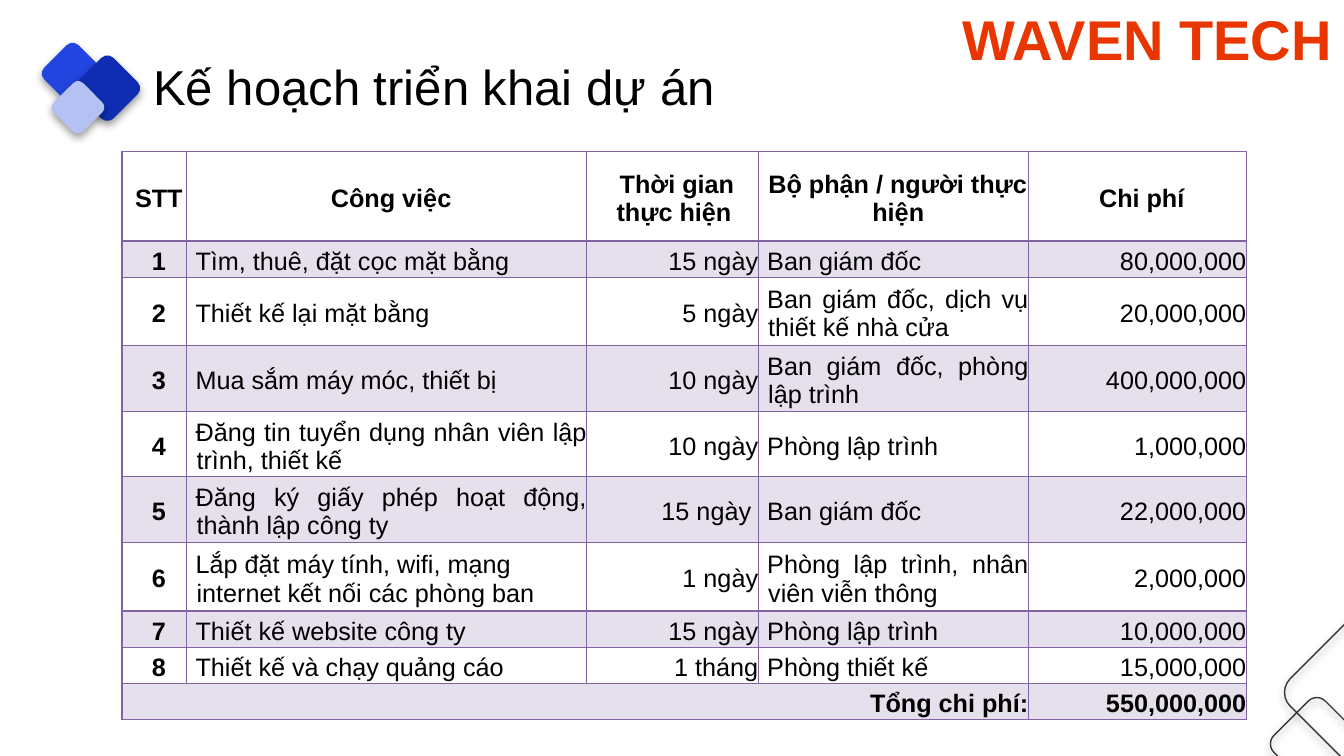
from typing import NamedTuple, Optional

from lxml.etree import SubElement
from pptx import Presentation
from pptx.dml.color import RGBColor
from pptx.enum.shapes import MSO_SHAPE as Preset
from pptx.enum.text import MSO_ANCHOR as Anchor, PP_ALIGN as Align
from pptx.oxml.ns import qn
from pptx.util import Inches, Pt

FONT = "Arial"
PURPLE = "8064A2"


class Tile(NamedTuple):
    left: float
    top: float
    size: float
    fill: Optional[str] = None


class Task(NamedTuple):
    name: str
    duration: str
    people: str
    cost: str
    height: float
    name_align: Align = Align.LEFT
    people_align: Align = Align.LEFT


TILES = [
    Tile(0.48, 0.49, 0.48, "2345DF"),
    Tile(0.81, 0.62, 0.51, "0E2DB2"),
    Tile(0.57, 0.86, 0.41, "B5C1F2"),
    Tile(12.7, 7.02, 0.72),
    Tile(12.9, 6.29, 1.16),
]
COLUMN_WIDTHS = [0.64, 3.97, 1.7, 2.68, 2.16]
HEADER_HEIGHT, SINGLE, DOUBLE, TALL = 0.89, 0.36, 0.65, 0.68
HEADERS = ["STT", "Công việc", "Thời gian thực hiện ", "Bộ phận / người thực hiện", "Chi phí"]
TASKS = [
    Task("Tìm, thuê, đặt cọc mặt bằng", "15 ngày", "Ban giám đốc", "80,000,000", SINGLE),
    Task("Thiết kế lại mặt bằng", "5 ngày", "Ban giám đốc, dịch vụ thiết kế nhà cửa",
         "20,000,000", TALL, people_align=Align.JUSTIFY),
    Task("Mua sắm máy móc, thiết bị", "10 ngày", "Ban giám đốc, phòng lập trình",
         "400,000,000", DOUBLE, people_align=Align.JUSTIFY),
    Task("Đăng tin tuyển dụng nhân viên lập trình, thiết kế", "10 ngày", "Phòng lập trình",
         "1,000,000", DOUBLE, name_align=Align.JUSTIFY),
    Task("Đăng ký giấy phép hoạt động, thành lập công ty", "15 ngày ", "Ban giám đốc",
         "22,000,000", DOUBLE, name_align=Align.JUSTIFY),
    Task("Lắp đặt máy tính, wifi, mạng internet kết nối các phòng ban", "1 ngày",
         "Phòng lập trình, nhân viên viễn thông", "2,000,000", TALL, people_align=Align.JUSTIFY),
    Task("Thiết kế website công ty", "15 ngày", "Phòng lập trình", "10,000,000", SINGLE),
    Task("Thiết kế và chạy quảng cáo", "1 tháng", "Phòng thiết kế", "15,000,000", SINGLE),
]


def color(value: str) -> RGBColor:
    return RGBColor.from_string(value)


def style_paragraph(para, size: float, tone: str, bold: bool, align: Align) -> None:
    para.alignment = align
    para.font.name = FONT
    para.font.size = Pt(size)
    para.font.bold = bold
    para.font.color.rgb = color(tone)


def draw_tile(page, tile: Tile) -> None:
    """Draw a rounded diamond with a soft shadow, outlined when it has no fill."""
    shape = page.shapes.add_shape(Preset.ROUNDED_RECTANGLE, Inches(tile.left), Inches(tile.top),
                                  Inches(tile.size), Inches(tile.size))
    shape.rotation = 45
    if tile.fill:
        shape.fill.solid()
        shape.fill.fore_color.rgb = color(tile.fill)
        shape.line.fill.background()
    else:
        shape.fill.background()
        shape.line.color.rgb = color("393737")
        shape.line.width = Pt(1)
    shape.shadow.inherit = False
    effects = shape._element.spPr.find(qn("a:effectLst"))
    shadow = SubElement(effects, qn("a:outerShdw"), blurRad=str(Pt(6)), dist=str(Pt(3)),
                        dir="5400000", algn="t", rotWithShape="0")
    tint = SubElement(shadow, qn("a:srgbClr"), val="000000")
    SubElement(tint, qn("a:alpha"), val="39000")


def draw_headings(page) -> None:
    title = page.shapes.title
    title.left, title.top = Inches(1.42), Inches(0.51)
    title.width, title.height = Inches(9.62), Inches(0.69)
    title.text_frame.text = "Kế hoạch triển khai dự án"
    title.text_frame.vertical_anchor = Anchor.MIDDLE
    style_paragraph(title.text_frame.paragraphs[0], 35, "000000", False, Align.LEFT)

    company = page.shapes.add_textbox(Inches(9.45), Inches(0), Inches(3.89), Inches(0.77))
    company.text_frame.word_wrap = True
    company.text_frame.text = "WAVEN TECH"
    style_paragraph(company.text_frame.paragraphs[0], 40, "E93601", True, Align.LEFT)


def add_borders(cell, top: float, bottom: float) -> None:
    properties = cell._tc.get_or_add_tcPr()
    for side, width in (("L", 1), ("R", 1), ("T", top), ("B", bottom)):
        line = SubElement(properties, qn(f"a:ln{side}"), w=str(Pt(width)))
        fill = SubElement(line, qn("a:solidFill"))
        SubElement(fill, qn("a:srgbClr"), val=PURPLE)


def format_cell(cell, row: int) -> None:
    """Set the insets, borders and alternate shading of a cell."""
    cell.margin_left, cell.margin_top = Inches(0.03), Inches(0.05)
    cell.margin_right = cell.margin_bottom = 0
    cell.vertical_anchor = Anchor.MIDDLE
    add_borders(cell, 2 if row == 1 else 1, 2 if row == 0 else 1)
    if row % 2:
        cell.fill.solid()
        cell.fill.fore_color.rgb = color(PURPLE)
        tint = cell._tc.tcPr.find(qn("a:solidFill")).find(qn("a:srgbClr"))
        SubElement(tint, qn("a:alpha"), val="20000")
    else:
        cell.fill.background()


def write_cell(cell, text: str, align: Align, bold: bool) -> None:
    cell.text = text
    para = cell.text_frame.paragraphs[0]
    properties = para._p.get_or_add_pPr()
    properties.set("marL", str(Inches(0.07)))
    properties.set("indent", str(Inches(-0.01)))
    para.space_after = Pt(7.6)
    style_paragraph(para, 18, "000000", bold, align)


def draw_plan(page) -> None:
    heights = [HEADER_HEIGHT, *(task.height for task in TASKS), SINGLE]
    frame = page.shapes.add_table(len(heights), len(COLUMN_WIDTHS), Inches(1.21), Inches(1.5),
                                  Inches(sum(COLUMN_WIDTHS)), Inches(sum(heights)))
    table = frame.table
    table.first_row = table.horz_banding = False
    for column, width in zip(table.columns, COLUMN_WIDTHS):
        column.width = Inches(width)
    for index, (row, height) in enumerate(zip(table.rows, heights)):
        row.height = Inches(height)
        for cell in row.cells:
            format_cell(cell, index)

    for column, header in enumerate(HEADERS):
        write_cell(table.cell(0, column), header, Align.CENTER, True)
    for number, task in enumerate(TASKS, start=1):
        texts = [str(number), task.name, task.duration, task.people, task.cost]
        aligns = [Align.CENTER, task.name_align, Align.RIGHT, task.people_align, Align.RIGHT]
        for column, (text, align) in enumerate(zip(texts, aligns)):
            write_cell(table.cell(number, column), text, align, column == 0)

    last = len(heights) - 1
    table.cell(last, 0).merge(table.cell(last, 3))
    write_cell(table.cell(last, 0), "Tổng chi phí:", Align.RIGHT, True)
    write_cell(table.cell(last, 4), "550,000,000", Align.RIGHT, True)


def main() -> None:
    deck = Presentation()
    deck.slide_width, deck.slide_height = Inches(13.33), Inches(7.5)
    page = deck.slides.add_slide(deck.slide_layouts.get_by_name("Title Only"))
    for tile in TILES:
        draw_tile(page, tile)
    draw_headings(page)
    draw_plan(page)
    deck.save("out.pptx")


if __name__ == "__main__":
    main()
